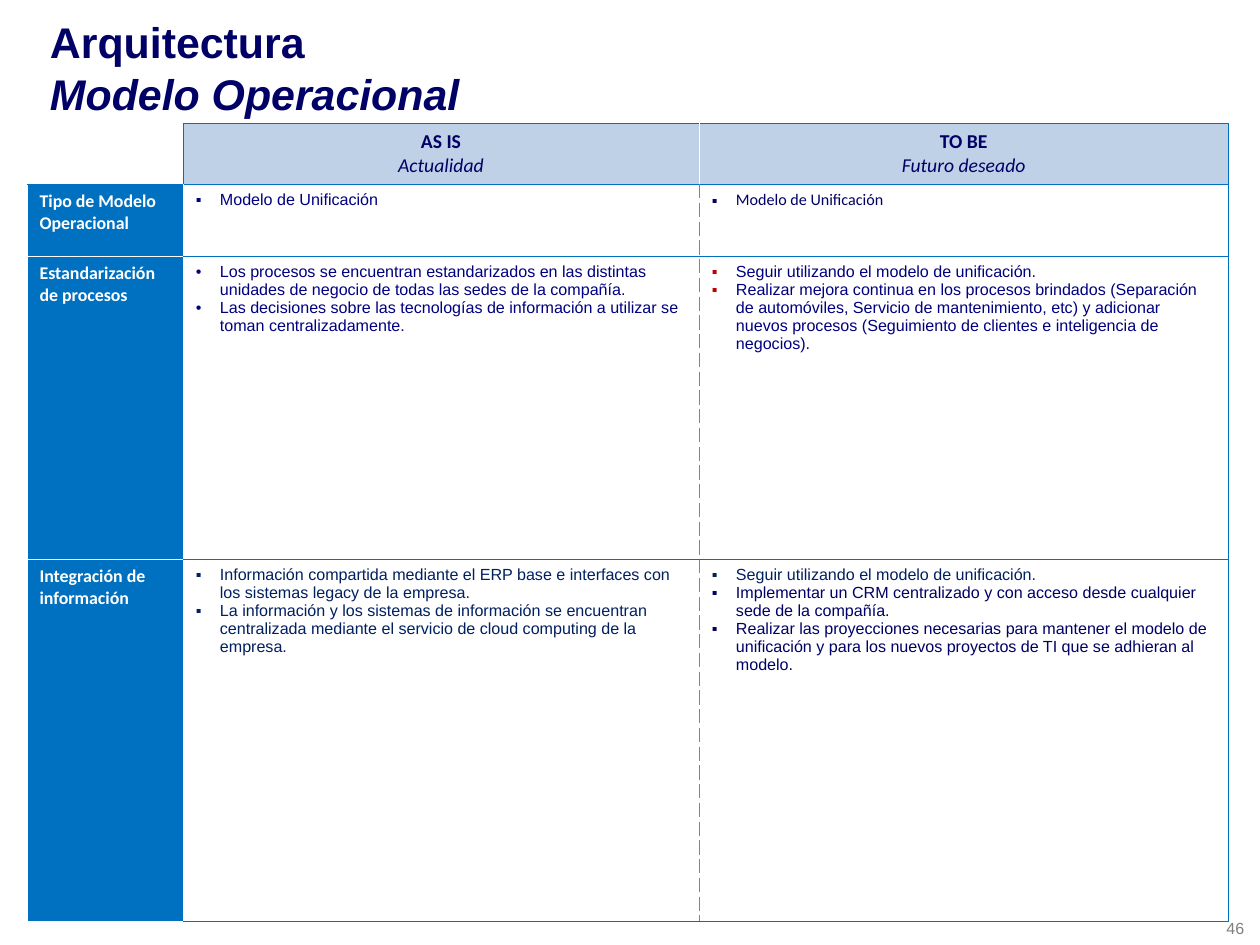
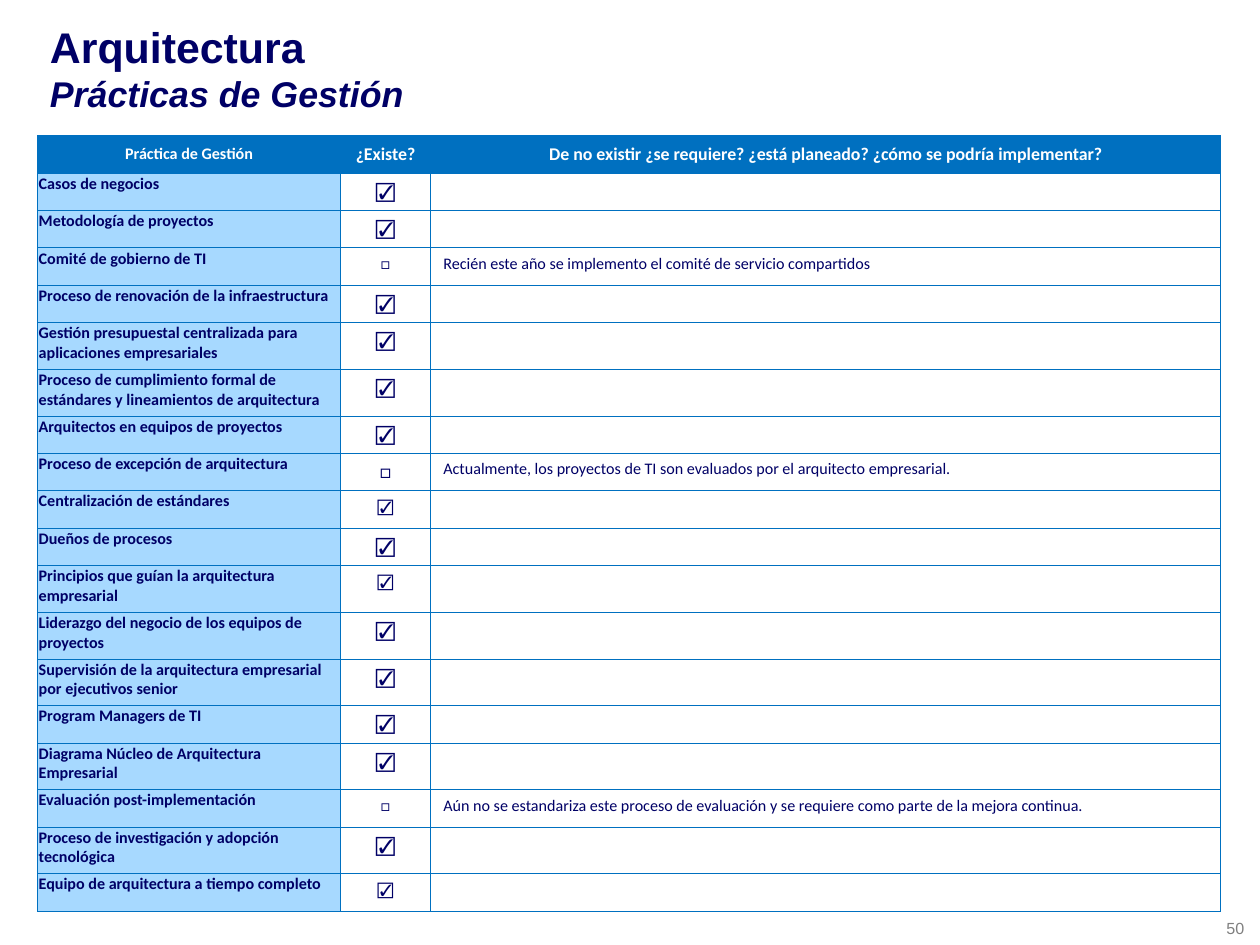
import pptx
import pptx.util
import pptx.dml.color
import pptx.enum.text
import pptx.oxml
import pptx.oxml.ns
from lxml import etree

Pt = pptx.util.Pt
PP_ALIGN = pptx.enum.text.PP_ALIGN
ANCHOR = pptx.enum.text.MSO_ANCHOR
qn = pptx.oxml.ns.qn

COLORS = {
    "navy": "000066", "text": "000080", "dark": "002060", "white": "FFFFFF",
    "blue": "0070C0", "cyan": "00B0F0", "header": "BFD1E7", "label": "A7D9FF",
    "red": "C00000", "gray": "808080",
}

# Content: operating model
MODEL_HEADERS = [("AS IS", "Actualidad"), ("TO BE", "Futuro deseado")]
UNIFICATION = "Seguir utilizando el modelo de unificación."
# Each cell: bullet, bullet colour, font, [(text colour, text), ...]
MODEL_ROWS = [
    ("Tipo de Modelo Operacional",
     ("▪", None, "Arial", [("text", "Modelo de Unificación")]),
     ("▪", None, "Calibri", [("navy", "Modelo de Unificación")])),
    ("Estandarización de procesos",
     ("•", None, "Arial", [
         ("text", "Los procesos se encuentran estandarizados en las distintas unidades de "
                  "negocio de todas las sedes de la compañía."),
         ("text", "Las decisiones sobre las tecnologías de información a utilizar se toman "
                  "centralizadamente.")]),
     ("▪", "red", "Arial", [
         ("text", UNIFICATION),
         ("text", "Realizar mejora continua en los procesos brindados (Separación de "
                  "automóviles, Servicio de mantenimiento, etc) y adicionar nuevos procesos "
                  "(Seguimiento de clientes e inteligencia de negocios).")])),
    ("Integración de información",
     ("▪", None, "Arial", [
         ("dark", "Información compartida mediante el ERP base e interfaces con los sistemas "
                  "legacy de la empresa."),
         ("dark", "La información y los sistemas de información se encuentran centralizada "
                  "mediante el servicio de cloud computing de la empresa.")]),
     ("▪", None, "Arial", [
         ("dark", UNIFICATION),
         ("navy", "Implementar un CRM centralizado y con acceso desde cualquier sede de la "
                  "compañía."),
         ("navy", "Realizar las proyecciones necesarias para mantener el modelo de "
                  "unificación y para los nuevos proyectos de TI que se adhieran al "
                  "modelo.")])),
]
MODEL_COLS = [87.5, 289, 296.5]
MODEL_HEIGHTS = [34.2, 40.3, 169.7, 202.7]

# Content: management practices (name, mark, mark size, lines, note)
PRACTICE_HEADERS = [
    ("Práctica de Gestión", 9), ("¿Existe?", 10),
    ("De no existir ¿se requiere? ¿está planeado? ¿cómo se podría implementar?", 10),
]
PRACTICES = [
    ("Casos de negocios", "☑", 11, 1, ""),
    ("Metodología de proyectos", "☑", 11, 1, ""),
    ("Comité de gobierno de TI", "□", 9, 1,
     "Recién este año se implemento el comité de servicio compartidos"),
    ("Proceso de renovación de la infraestructura", "☑", 11, 1, ""),
    ("Gestión presupuestal centralizada para aplicaciones empresariales", "☑", 11, 2, ""),
    ("Proceso de cumplimiento formal de estándares y lineamientos de arquitectura",
     "☑", 11, 2, ""),
    ("Arquitectos en equipos de proyectos", "☑", 11, 1, ""),
    ("Proceso de excepción de arquitectura", "□", 11, 1,
     "Actualmente, los proyectos de TI son evaluados por el arquitecto empresarial."),
    ("Centralización de estándares", "☑", 9, 1, ""),
    ("Dueños de procesos", "☑", 11, 1, ""),
    ("Principios que guían la arquitectura empresarial", "☑", 9, 2, ""),
    ("Liderazgo del negocio de los equipos de proyectos", "☑", 11, 2, ""),
    ("Supervisión de la arquitectura empresarial por ejecutivos senior", "☑", 11, 2, ""),
    ("Program Managers de TI", "☑", 11, 1, ""),
    ("Diagrama Núcleo de Arquitectura Empresarial", "☑", 11, 2, ""),
    ("Evaluación post-implementación", "□", 9, 1,
     "Aún no se estandariza este proceso de evaluación y se requiere como parte de la "
     "mejora continua."),
    ("Proceso de investigación y adopción tecnológica", "☑", 11, 2, ""),
    ("Equipo de arquitectura a tiempo completo", "☑", 9, 1, ""),
]
PRACTICE_COLS = [169.7, 50.4, 442.4]
LINE_HEIGHTS = {1: 20.95, 2: 26.15}


def rgb(name):
    return pptx.dml.color.RGBColor.from_string(COLORS[name])


def style(p, size, color, font="Calibri", bold=False, italic=False):
    for r in p.runs:
        f = r.font
        f.size, f.name, f.bold, f.italic = Pt(size), font, bold, italic
        f.color.rgb = rgb(color)


def add_bullet(p, char, color):
    pPr = p._p.get_or_add_pPr()
    pPr.set("marL", str(Pt(13.5)))
    pPr.set("indent", str(-Pt(13.5)))
    if color:
        clr = etree.SubElement(pPr, qn("a:buClr"))
        etree.SubElement(clr, qn("a:srgbClr"), val=COLORS[color])
    etree.SubElement(pPr, qn("a:buFont"), typeface="Arial")
    etree.SubElement(pPr, qn("a:buChar"), char=char)


def set_cell(cell, fill, borders, anchor=ANCHOR.TOP):
    """borders: colours for left, right, top, bottom; cyan is dashed."""
    cell.vertical_anchor = anchor
    if fill:
        cell.fill.solid()
        cell.fill.fore_color.rgb = rgb(fill)
    else:
        cell.fill.background()
    tcPr = cell._tc.get_or_add_tcPr()
    for i, (side, color) in enumerate(zip("LRTB", borders)):
        ln = etree.Element(qn("a:ln" + side), w=str(Pt(0.25)))
        solid = etree.SubElement(ln, qn("a:solidFill"))
        etree.SubElement(solid, qn("a:srgbClr"), val=COLORS[color])
        etree.SubElement(ln, qn("a:prstDash"), val="sysDash" if color == "cyan" else "solid")
        tcPr.insert(i, ln)


def write(cell, text, size, color, bold=False, align=None):
    p = cell.text_frame.paragraphs[0]
    p.text = text
    p.alignment = align
    style(p, size, color, bold=bold)
    if not text:
        etree.SubElement(p._p, qn("a:endParaRPr"), sz=str(size * 100))


def add_text(slide, x, y, w, h, text):
    tf = slide.shapes.add_textbox(Pt(x), Pt(y), Pt(w), Pt(h)).text_frame
    tf.text = text
    return tf


def add_base(prs, subtitle, subtitle_size, number):
    """Slide with its two-line title and page number."""
    slide = prs.slides.add_slide(prs.slide_layouts[6])
    tf = add_text(slide, 20.9, 11.5, 667.4, 52.6, "Arquitectura\v" + subtitle)
    tf.word_wrap = True
    tf.vertical_anchor = ANCHOR.MIDDLE
    p = tf.paragraphs[0]
    style(p, 24, "navy", "Arial", bold=True)
    p.runs[1].font.size = Pt(subtitle_size)
    p.runs[1].font.italic = True
    tf = add_text(slide, 679.7, 510.5, 25.9, 18, number)
    tf.word_wrap = False
    style(tf.paragraphs[0], 9, "gray", "Arial")
    return slide


def add_grid(slide, x, y, widths, heights):
    tbl = slide.shapes.add_table(len(heights), len(widths), Pt(x), Pt(y),
                                 Pt(sum(widths)), Pt(sum(heights))).table
    tbl.first_row = tbl.horz_banding = False
    for col, w in zip(tbl.columns, widths):
        col.width = Pt(w)
    for row, h in zip(tbl.rows, heights):
        row.height = Pt(h)
    return tbl


def build_model(prs):
    slide = add_base(prs, "Modelo Operacional", 24, "46")
    tbl = add_grid(slide, 15, 69, MODEL_COLS, MODEL_HEIGHTS)
    # Header row
    set_cell(tbl.cell(0, 0), None, ("white", "blue", "white", "blue"))
    write(tbl.cell(0, 0), "", 11, "navy")
    header_borders = [("blue", "white", "blue", "blue"), ("white", "blue", "blue", "blue")]
    for c, (lines, borders) in enumerate(zip(MODEL_HEADERS, header_borders), 1):
        cell = tbl.cell(0, c)
        set_cell(cell, "header", borders, ANCHOR.MIDDLE)
        cell.text_frame.text = "\n".join(lines)
        for i, p in enumerate(cell.text_frame.paragraphs):
            p.alignment = PP_ALIGN.CENTER
            style(p, 11, "navy", bold=i == 0, italic=i == 1)
    # Body rows
    body_borders = [("white", "cyan", "blue", "blue"), ("cyan", "blue", "blue", "blue")]
    for r, (label, *contents) in enumerate(MODEL_ROWS, 1):
        top = "blue" if r == 1 else "white"
        set_cell(tbl.cell(r, 0), "blue", ("white", "white", top, "white"))
        write(tbl.cell(r, 0), label, 10, "white", bold=True)
        for c, (content, borders) in enumerate(zip(contents, body_borders), 1):
            char, bullet_color, font, items = content
            cell = tbl.cell(r, c)
            set_cell(cell, "white", borders)
            tf = cell.text_frame
            tf.text = "\n".join(text for _, text in items)
            for p, (color, _) in zip(tf.paragraphs, items):
                add_bullet(p, char, bullet_color)
                style(p, 9, color, font)


def build_practices(prs):
    slide = add_base(prs, "Prácticas de Gestión", 20, "50")
    heights = [LINE_HEIGHTS[1]] + [LINE_HEIGHTS[row[3]] for row in PRACTICES]
    tbl = add_grid(slide, 21, 75.8, PRACTICE_COLS, heights)
    borders = ["blue"] * 4
    for c, (text, size) in enumerate(PRACTICE_HEADERS):
        set_cell(tbl.cell(0, c), "blue", borders, ANCHOR.MIDDLE)
        write(tbl.cell(0, c), text, size, "white", True, PP_ALIGN.CENTER)
    for r, (name, mark, size, _, note) in enumerate(PRACTICES, 1):
        label, check, remark = (tbl.cell(r, c) for c in range(3))
        set_cell(label, "label", borders)
        label.margin_left = label.margin_right = label.margin_top = Pt(0.7)
        label.margin_bottom = 0
        write(label, name, 9, "navy", bold=True)
        set_cell(check, "white", borders, ANCHOR.MIDDLE if r == 1 else ANCHOR.TOP)
        write(check, mark, size, "navy", align=PP_ALIGN.CENTER)
        set_cell(remark, "white", borders)
        write(remark, note, 9, "navy")


def main():
    prs = pptx.Presentation()
    prs.slide_width, prs.slide_height = Pt(705.6), Pt(529.2)
    build_model(prs)
    build_practices(prs)
    prs.save("out.pptx")


if __name__ == "__main__":
    main()
